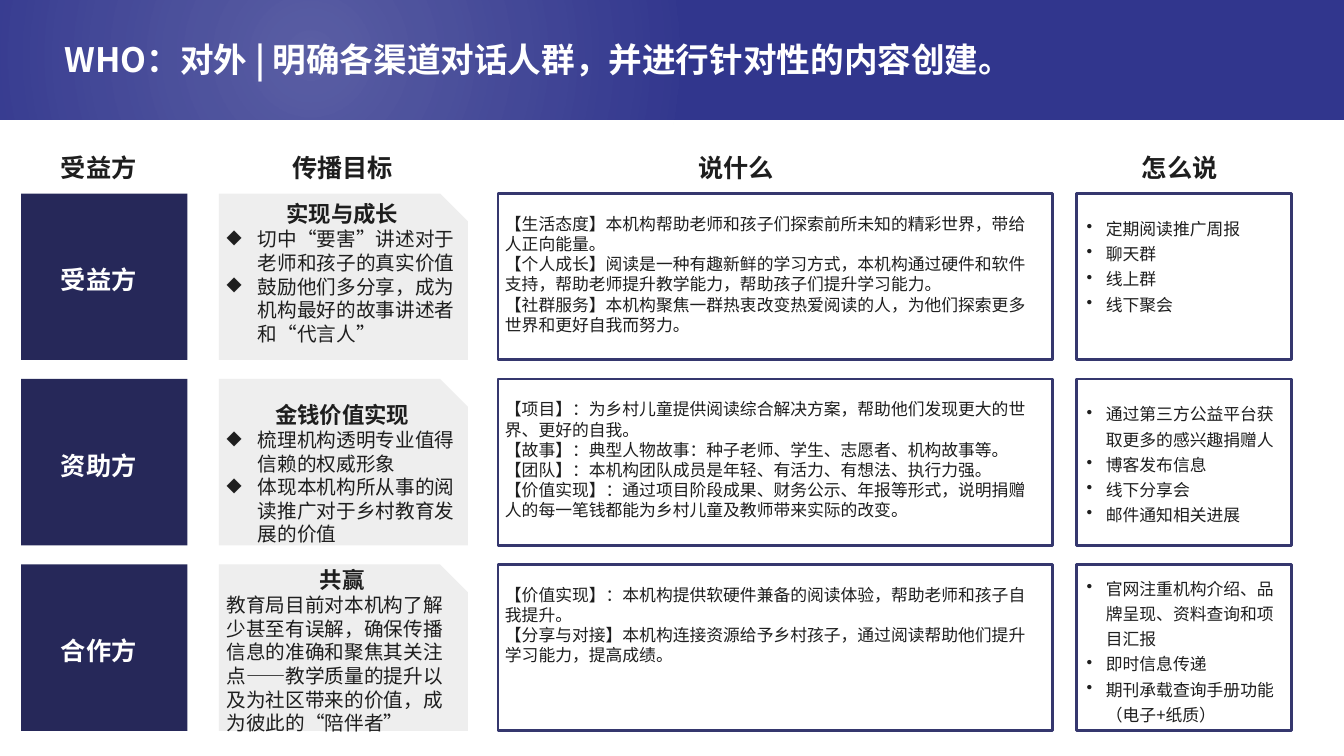
from dataclasses import dataclass

from lxml import etree
from pptx import Presentation
from pptx.dml.color import RGBColor
from pptx.enum.shapes import MSO_SHAPE
from pptx.enum.text import MSO_ANCHOR, PP_ALIGN
from pptx.oxml import parse_xml
from pptx.oxml.ns import nsdecls, qn
from pptx.util import Inches, Pt

RECTANGLE = MSO_SHAPE.RECTANGLE
SNIPPED = MSO_SHAPE.SNIP_1_RECTANGLE
LEFT, CENTER = PP_ALIGN.LEFT, PP_ALIGN.CENTER
MIDDLE = MSO_ANCHOR.MIDDLE


@dataclass(frozen=True)
class Theme:
    font: str = "Noto Sans CJK SC"
    banner: str = "31368D"
    navy: str = "262859"
    outline: str = "35376E"
    panel: str = "EEEEEE"
    ink: str = "1E1E1E"
    white: str = "FFFFFF"
    title: int = 24
    heading: int = 18
    goal: int = 16
    goal_body: int = 14
    body: int = 12


@dataclass(frozen=True)
class Column:
    heading: str
    left: float
    width: float
    heading_center: float


@dataclass(frozen=True)
class Audience:
    name: str
    goal: str
    goal_points: tuple
    goal_bullet: str
    goal_offset: float
    messages: tuple
    channels: tuple
    channel_offset: float


THEME = Theme()
WIDTH, HEIGHT = 13.33, 7.5
BANNER_HEIGHT = 1.19
HEADING_TOP, HEADING_WIDTH, HEADING_HEIGHT = 1.39, 1.3, 0.45
FIRST_ROW, ROW_PITCH, ROW_HEIGHT = 1.92, 1.84, 1.65
LABEL_OFFSET, MESSAGE_OFFSET = 0.58, 0.15

COLUMNS = (
    Column("受益方", 0.21, 1.65, 0.98),
    Column("传播目标", 2.17, 2.47, 3.4),
    Column("说什么", 4.94, 5.5, 7.3),
    Column("怎么说", 10.68, 2.13, 11.7),
)

AUDIENCES = (
    Audience(
        "受益方", "实现与成长",
        ("切中“要害”讲述对于老师和孩子的真实价值",
         "鼓励他们多分享，成为机构最好的故事讲述者和“代言人”"),
        "◆", 0.02,
        ("【生活态度】本机构帮助老师和孩子们探索前所未知的精彩世界，带给人正向能量。",
         "【个人成长】阅读是一种有趣新鲜的学习方式，本机构通过硬件和软件支持，帮助老师提升教学能力，帮助孩子们提升学习能力。",
         "【社群服务】本机构聚焦一群热衷改变热爱阅读的人，为他们探索更多世界和更好自我而努力。"),
        ("定期阅读推广周报", "聊天群", "线上群", "线下聚会"), 0.15),
    Audience(
        "资助方", "金钱价值实现",
        ("梳理机构透明专业值得信赖的权威形象",
         "体现本机构所从事的阅读推广对于乡村教育发展的价值"),
        "◆", 0.17,
        ("【项目】：为乡村儿童提供阅读综合解决方案，帮助他们发现更大的世界、更好的自我。",
         "【故事】：典型人物故事：种子老师、学生、志愿者、机构故事等。",
         "【团队】：本机构团队成员是年轻、有活力、有想法、执行力强。",
         "【价值实现】：通过项目阶段成果、财务公示、年报等形式，说明捐赠人的每一笔钱都能为乡村儿童及教师带来实际的改变。"),
        ("通过第三方公益平台获取更多的感兴趣捐赠人", "博客发布信息", "线下分享会", "邮件通知相关进展"), 0.15),
    Audience(
        "合作方", "共赢",
        ("教育局目前对本机构了解少甚至有误解，确保传播信息的准确和聚焦其关注点——教学质量的提升以及为社区带来的价值，成为彼此的“陪伴者”",),
        "", -0.03,
        ("【价值实现】：本机构提供软硬件兼备的阅读体验，帮助老师和孩子自我提升。",
         "【分享与对接】本机构连接资源给予乡村孩子，通过阅读帮助他们提升学习能力，提高成绩。"),
        ("官网注重机构介绍、品牌呈现、资料查询和项目汇报", "即时信息传递", "期刊承载查询手册功能（电子+纸质）"), 0.04),
)


def add_box(shapes, kind, left, top, width, height, fill=None, outline=None):
    shape = shapes.add_shape(kind, Inches(left), Inches(top), Inches(width), Inches(height))
    shape.shadow.inherit = False
    if fill:
        shape.fill.solid()
        shape.fill.fore_color.rgb = RGBColor.from_string(fill)
    else:
        shape.fill.background()
    if outline:
        shape.line.color.rgb = RGBColor.from_string(outline)
        shape.line.width = Pt(2)
    else:
        shape.line.fill.background()
    return shape


def format_paragraph(paragraph, size, color=THEME.ink, bold=False, align=LEFT,
                     spacing=1.0, bullet="", indent=0.0):
    paragraph.alignment = align
    paragraph.line_spacing = spacing
    properties = paragraph._p.get_or_add_pPr()
    if bullet:
        properties.set("marL", str(Inches(indent)))
        properties.set("indent", str(-Inches(indent)))
        etree.SubElement(properties, qn("a:buChar"), char=bullet)
    font = paragraph.font
    font.size = Pt(size)
    font.bold = bold
    font.color.rgb = RGBColor.from_string(color)
    font.name = THEME.font
    etree.SubElement(properties.find(qn("a:defRPr")), qn("a:ea"), typeface=THEME.font)


def add_text(shapes, left, top, width, height, lines):
    frame = shapes.add_textbox(Inches(left), Inches(top), Inches(width), Inches(height)).text_frame
    frame.word_wrap = True
    for index, (text, style) in enumerate(lines):
        paragraph = frame.add_paragraph() if index else frame.paragraphs[0]
        paragraph.text = text
        format_paragraph(paragraph, **style)


def add_heading(shapes, text, center, top, color=THEME.ink):
    style = dict(size=THEME.heading, color=color, bold=True, align=CENTER, spacing=1.25)
    add_text(shapes, center - HEADING_WIDTH / 2, top, HEADING_WIDTH, HEADING_HEIGHT, [(text, style)])


def add_banner(slide):
    title = slide.shapes.title
    banner = add_box(slide.shapes, RECTANGLE, 0, 0, WIDTH, BANNER_HEIGHT, fill=THEME.banner)
    glow = add_box(slide.shapes, RECTANGLE, -2.47, -0.17, 11.1, 1.44)
    stops = "".join(
        f'<a:gs pos="{position}"><a:srgbClr val="{THEME.white}"><a:alpha val="{alpha}"/></a:srgbClr></a:gs>'
        for position, alpha in ((0, 20000), (66000, 0), (100000, 0)))
    gradient = parse_xml(
        f'<a:gradFill {nsdecls("a")} rotWithShape="1"><a:gsLst>{stops}</a:gsLst><a:path path="circle">'
        '<a:fillToRect l="50000" t="50000" r="50000" b="50000"/></a:path></a:gradFill>')
    properties = glow.element.spPr
    properties.replace(properties.find(qn("a:noFill")), gradient)
    for shape in (banner, glow):
        title.element.addprevious(shape.element)


def add_title(slide, text):
    title = slide.shapes.title
    title.left, title.top, title.width, title.height = map(Inches, (0.54, 0.38, 12.32, 0.46))
    title.text = text
    title.text_frame.vertical_anchor = MIDDLE
    format_paragraph(title.text_frame.paragraphs[0], THEME.title, THEME.white, bold=True, spacing=0.9)


def add_audience_row(slide, audience, top):
    shapes = slide.shapes.add_group_shape().shapes
    who, goal, message, channel = COLUMNS
    add_box(shapes, SNIPPED, goal.left, top, goal.width, ROW_HEIGHT, fill=THEME.panel)
    add_box(shapes, RECTANGLE, who.left, top, who.width, ROW_HEIGHT, fill=THEME.navy)
    for column in (message, channel):
        add_box(shapes, RECTANGLE, column.left, top, column.width, ROW_HEIGHT, outline=THEME.outline)

    add_heading(shapes, audience.name, who.heading_center, top + LABEL_OFFSET, THEME.white)

    goal_style = dict(size=THEME.goal_body, bullet=audience.goal_bullet, indent=0.31)
    goal_lines = [(audience.goal, dict(size=THEME.goal, bold=True, align=CENTER))]
    goal_lines += [(text, goal_style) for text in audience.goal_points]
    add_text(shapes, goal.left - 0.02, top + audience.goal_offset, goal.width + 0.02, ROW_HEIGHT, goal_lines)

    message_lines = [(text, dict(size=THEME.body)) for text in audience.messages]
    add_text(shapes, message.left - 0.03, top + MESSAGE_OFFSET, message.width - 0.12, 1.31, message_lines)

    channel_style = dict(size=THEME.body, spacing=1.25, bullet="•", indent=0.19)
    channel_lines = [(text, channel_style) for text in audience.channels]
    add_text(shapes, channel.left, top + audience.channel_offset, channel.width, 1.36, channel_lines)


def main():
    presentation = Presentation()
    presentation.slide_width, presentation.slide_height = Inches(WIDTH), Inches(HEIGHT)
    slide = presentation.slides.add_slide(presentation.slide_layouts[5])
    add_banner(slide)
    add_title(slide, "WHO：对外 | 明确各渠道对话人群，并进行针对性的内容创建。")
    for column in COLUMNS:
        add_heading(slide.shapes, column.heading, column.heading_center, HEADING_TOP)
    for index, audience in enumerate(AUDIENCES):
        add_audience_row(slide, audience, FIRST_ROW + index * ROW_PITCH)
    presentation.save("out.pptx")


if __name__ == "__main__":
    main()
